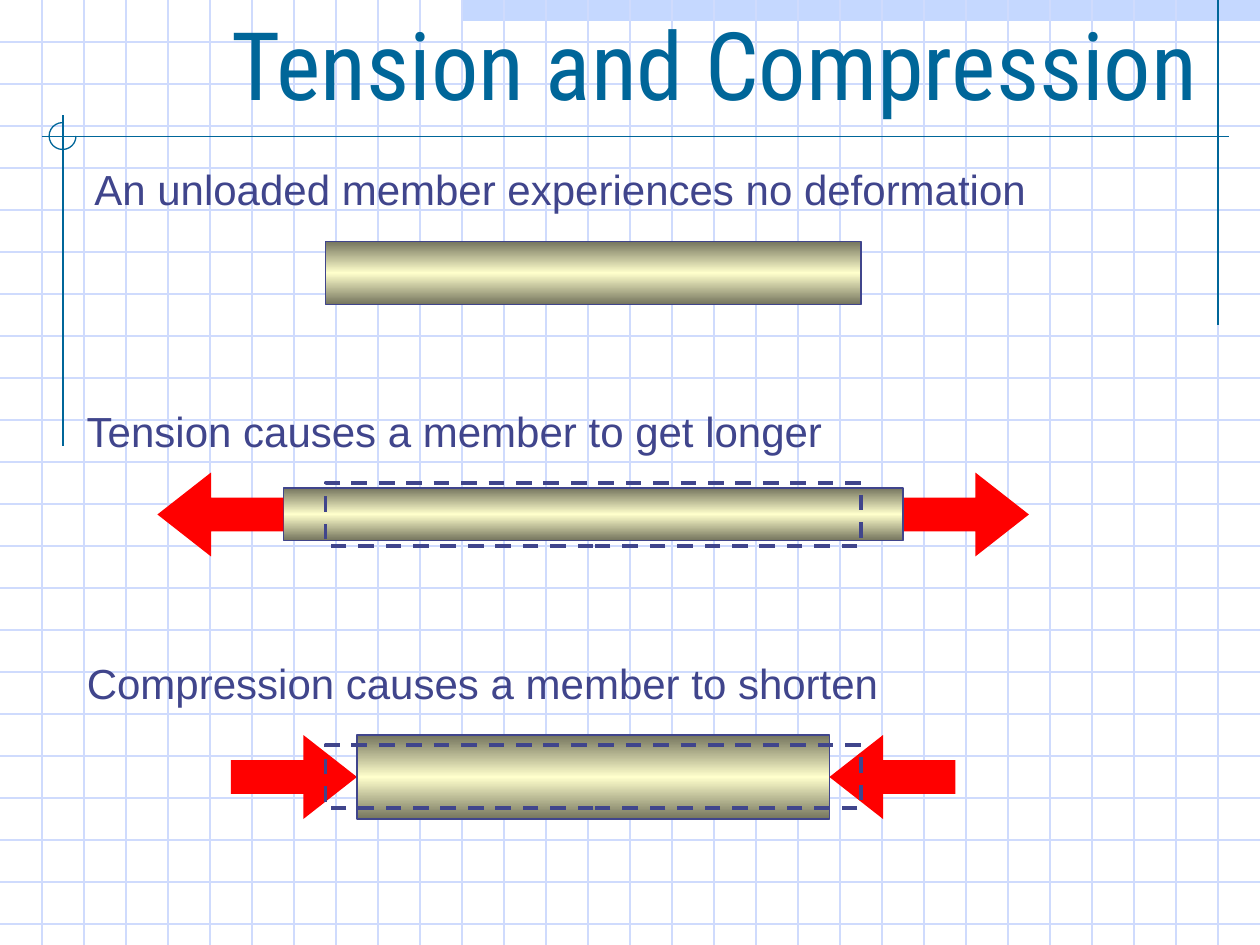
import copy

import pptx
import pptx.dml.color
import pptx.enum.dml
import pptx.enum.shapes
import pptx.enum.text
import pptx.oxml
import pptx.util

SHAPES = pptx.enum.shapes.MSO_SHAPE
COLUMNS, ROWS = 30, 22.5
COLORS = {
    "band": "C5D8FF",
    "grid": "CFDBFD",
    "title": "006699",
    "ink": "40458C",
    "force": "FF0000",
    "edge": "75755E",
    "shine": "FFFFCC",
}


def rgb(name):
    return pptx.dml.color.RGBColor.from_string(COLORS[name])


def write(frame, text, *, font, size, color, wrap, auto_size, anchor):
    frame.word_wrap = wrap
    frame.auto_size = auto_size
    frame.vertical_anchor = anchor
    paragraph = frame.paragraphs[0]
    paragraph.alignment = pptx.enum.text.PP_ALIGN.LEFT
    run = paragraph.add_run()
    run.text = text
    run.font.name = font
    run.font.size = pptx.util.Pt(size)
    run.font.color.rgb = rgb(color)


class Sheet:
    heading_font = "Roboto Condensed"
    body_font = "Arial"
    thin = 0.75
    thick = 2.25

    def __init__(self, deck):
        self.slide = deck.slides.add_slide(deck.slide_layouts[5])
        self.shapes = self.slide.shapes
        self.cell = deck.slide_width / COLUMNS

    def units(self, *cells):
        return [round(cell * self.cell) for cell in cells]

    def title(self, text, *box):
        heading = self.shapes.title
        heading.left, heading.top, heading.width, heading.height = self.units(*box)
        write(heading.text_frame, text, font=self.heading_font, size=54,
              color="title", wrap=True,
              auto_size=pptx.enum.text.MSO_AUTO_SIZE.NONE,
              anchor=pptx.enum.text.MSO_ANCHOR.BOTTOM)
        self.shapes.element.append(heading.element)

    def caption(self, text, *box):
        label = self.shapes.add_textbox(*self.units(*box))
        write(label.text_frame, text, font=self.body_font, size=24,
              color="ink", wrap=False,
              auto_size=pptx.enum.text.MSO_AUTO_SIZE.SHAPE_TO_FIT_TEXT,
              anchor=pptx.enum.text.MSO_ANCHOR.TOP)

    def rule(self, color, *ends):
        rule = self.shapes.add_connector(
            pptx.enum.shapes.MSO_CONNECTOR.STRAIGHT, *self.units(*ends))
        rule.line.color.rgb = rgb(color)
        rule.line.width = pptx.util.Pt(self.thin)
        rule.element.spPr.append(pptx.oxml.parse_xml(
            '<a:effectLst xmlns:a="http://schemas.openxmlformats.org/drawingml/2006/main"/>'))

    def shape(self, kind, *box, fill=None, line=None, width=thin):
        shape = self.shapes.add_shape(kind, *self.units(*box))
        shape.shadow.inherit = False
        if fill:
            shape.fill.solid()
            shape.fill.fore_color.rgb = rgb(fill)
        else:
            shape.fill.background()
        if line:
            shape.line.color.rgb = rgb(line)
            shape.line.width = pptx.util.Pt(width)
        else:
            shape.line.fill.background()
        return shape

    def member(self, *box):
        member = self.shape(SHAPES.RECTANGLE, *box, line="ink")
        member.fill.gradient()
        member.fill.gradient_angle = 90
        stops = member.element.xpath(".//a:gsLst")[0]
        stops.append(copy.deepcopy(stops[0]))
        shades = ((0, "edge"), (0.5, "shine"), (1, "edge"))
        for stop, (position, color) in zip(member.fill.gradient_stops, shades):
            stop.position = position
            stop.color.rgb = rgb(color)

    def unloaded_outline(self, top):
        outline = self.shape(SHAPES.RECTANGLE, 7.75, top, 12.75, 1.5,
                             line="ink", width=self.thick)
        outline.line.dash_style = pptx.enum.dml.MSO_LINE.DASH

    def force(self, left, top, leftward=False):
        arrow = self.shape(SHAPES.RIGHT_ARROW, left, top, 3, 2, fill="force")
        arrow.adjustments[0] = 0.403
        arrow.adjustments[1] = 0.638
        if leftward:
            arrow.element.spPr.xfrm.set("flipH", "1")

    def backdrop(self):
        self.shape(SHAPES.RECTANGLE, 11, 0, 19, 0.5, fill="band")
        for row in range(1, int(ROWS) + 1):
            self.rule("grid", 0, row, COLUMNS, row)
        for column in range(1, COLUMNS):
            self.rule("grid", column, 0, column, ROWS)
        self.rule("title", 29, 0, 29, 7.75)
        self.rule("title", 1.5, 2.75, 1.5, 10.62)
        ring = self.shape(SHAPES.ARC, 1.17, 2.92, 0.64, 0.64, line="title")
        ring.adjustments[0] = 0
        ring.adjustments[1] = 162
        self.rule("title", 1, 3.25, 29.25, 3.25)


def main():
    deck = pptx.Presentation()
    deck.slide_width = pptx.util.Inches(10)
    deck.slide_height = pptx.util.Inches(7.5)
    sheet = Sheet(deck)
    sheet.backdrop()
    sheet.title("Tension and Compression", 5.22, 0.24, 23.76, 2.76)

    sheet.member(7.75, 5.75, 12.75, 1.5)
    sheet.caption("An unloaded member experiences no deformation",
                  1.95, 3.75, 22.77, 1.5)

    sheet.force(21.5, 11.25)
    sheet.member(6.75, 11.62, 14.75, 1.25)
    sheet.force(3.75, 11.25, leftward=True)
    sheet.caption("Tension causes a member to get longer",
                  1.77, 9.5, 18.21, 1.5)
    sheet.unloaded_outline(11.5)

    sheet.force(5.5, 17.5)
    sheet.member(8.5, 17.5, 11.25, 2)
    sheet.force(19.75, 17.5, leftward=True)
    sheet.caption("Compression causes a member to shorten",
                  1.77, 15.5, 19.44, 1.5)
    sheet.unloaded_outline(17.75)

    deck.save("out.pptx")


if __name__ == "__main__":
    main()
